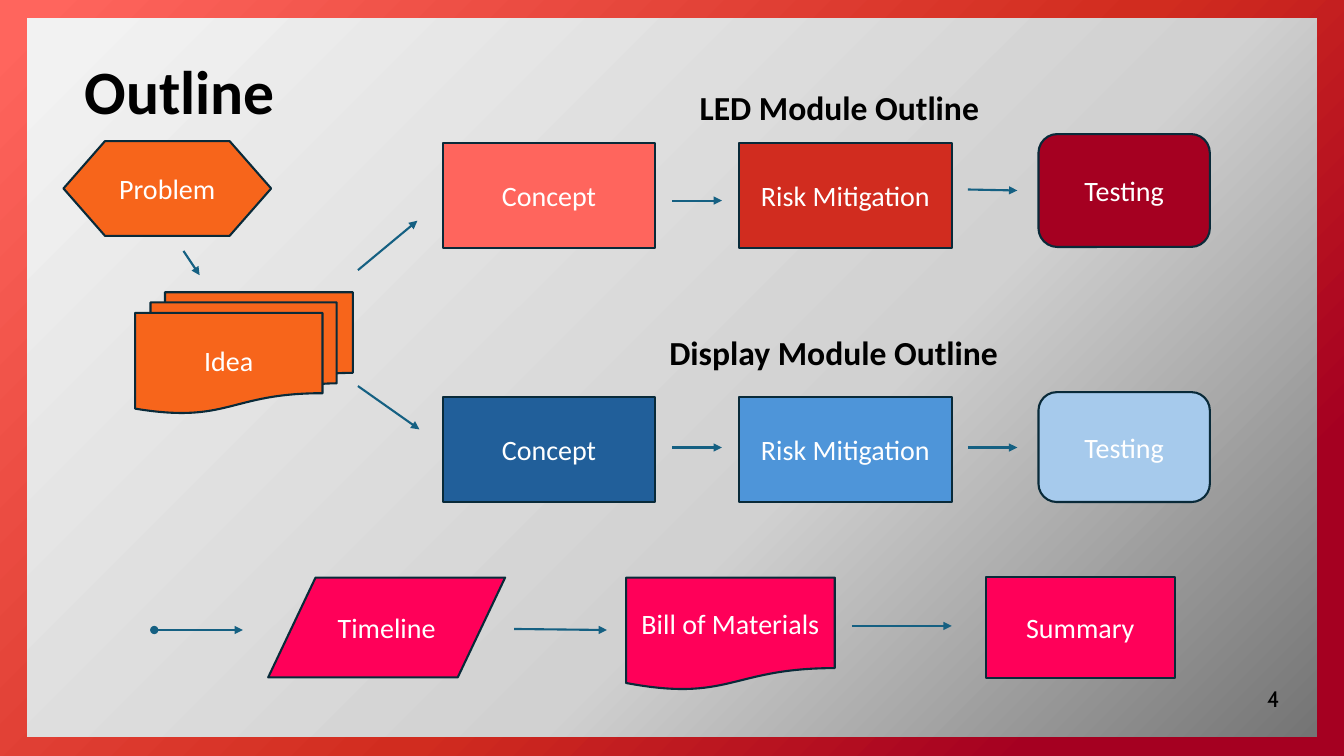
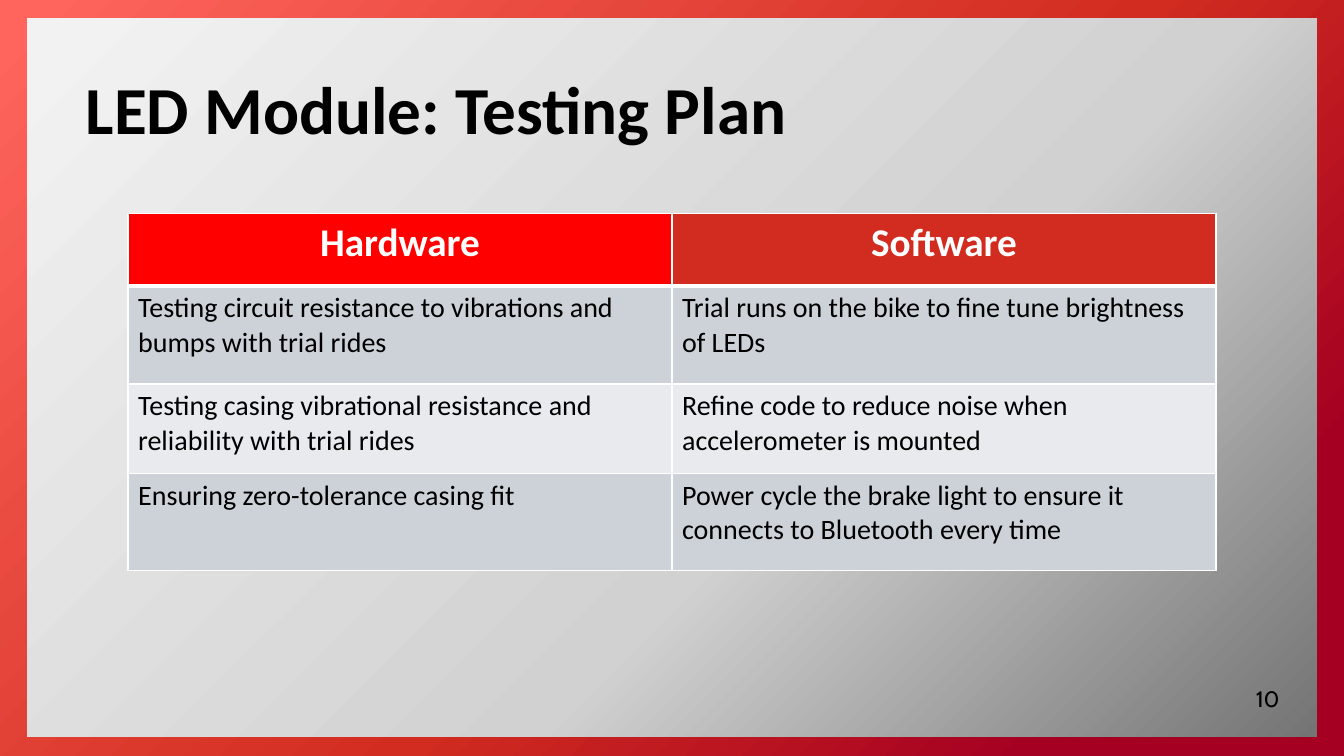
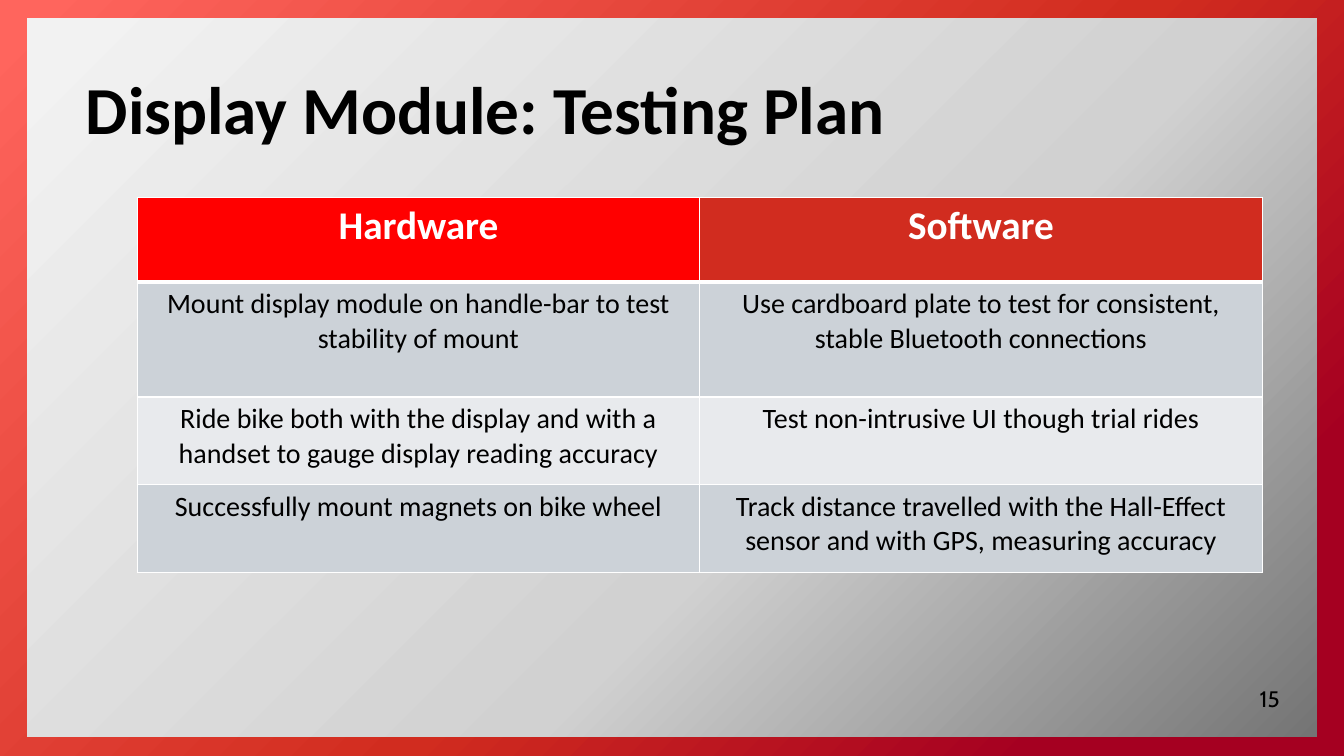
from copy import deepcopy

from lxml import etree
from pptx import Presentation
from pptx.dml.color import RGBColor
from pptx.enum import shapes, text
from pptx.oxml.ns import qn
from pptx.util import Inches, Pt

BLACK = RGBColor(0x00, 0x00, 0x00)
WHITE = RGBColor(0xFF, 0xFF, 0xFF)
CORAL = RGBColor(0xFF, 0x65, 0x5D)
RED = RGBColor(0xD1, 0x2C, 0x1F)
PURE_RED = RGBColor(0xFF, 0x00, 0x00)
CRIMSON = RGBColor(0xA5, 0x00, 0x21)
ORANGE = RGBColor(0xF7, 0x65, 0x1B)
PINK = RGBColor(0xFF, 0x00, 0x59)
DARK_BLUE = RGBColor(0x21, 0x5F, 0x9A)
MID_BLUE = RGBColor(0x4E, 0x95, 0xD9)
PALE_BLUE = RGBColor(0xA6, 0xCA, 0xEC)
OUTLINE = RGBColor(0x09, 0x2A, 0x39)
ARROW = RGBColor(0x15, 0x60, 0x82)
BANDS = [RGBColor(0xCC, 0xD2, 0xD8), RGBColor(0xE8, 0xEA, 0xED)]
BACKDROP_STOPS = [(0.02, CORAL), (0.55, RED), (0.85, CRIMSON)]
PANEL_STOPS = [
    (0.02, RGBColor(0xF2, 0xF2, 0xF2)),
    (0.61, RGBColor(0xD1, 0xD1, 0xD1)),
    (1.0, RGBColor(0x74, 0x74, 0x74)),
]
LEFT, CENTER, RIGHT = text.PP_ALIGN.LEFT, text.PP_ALIGN.CENTER, text.PP_ALIGN.RIGHT
TOP, MIDDLE = text.MSO_ANCHOR.TOP, text.MSO_ANCHOR.MIDDLE
KIND = shapes.MSO_SHAPE


def write(frame, words, size, color=BLACK, bold=False, align=LEFT, font="Calibri"):
    """Fill a text frame with one formatted paragraph."""
    frame.word_wrap = True
    paragraph = frame.paragraphs[0]
    paragraph.text = words
    paragraph.alignment = align
    paragraph.font.name = font
    paragraph.font.size = Pt(size)
    paragraph.font.bold = bold
    paragraph.font.color.rgb = color


def paint_gradient(fill, stops):
    """Apply a diagonal gradient with three stops."""
    fill.gradient()
    fill.gradient_angle = 315
    first = fill.gradient_stops[0]._gs
    first.getparent().append(deepcopy(first))
    for stop, (position, color) in zip(fill.gradient_stops, stops):
        stop.position = position
        stop.color.rgb = color


prs = Presentation()
prs.slide_width, prs.slide_height = Inches(13.33), Inches(7.5)
master = prs.slide_master
paint_gradient(master.background.fill, BACKDROP_STOPS)

# Titles and page numbers
slides = []
for heading, size, box, number in [
    ("Outline", 44, (0.74, 0.47, 10.59, 0.84), "4"),
    ("LED Module: Testing Plan", 48, (0.75, 0.62, 11.28, 0.91), "10"),
    ("Display Module: Testing Plan", 48, (0.75, 0.62, 11.28, 0.91), "15"),
]:
    slide = prs.slides.add_slide(prs.slide_layouts[5])
    title = slide.shapes.title
    title.left, title.top, title.width, title.height = map(Inches, box)
    write(title.text_frame, heading, size, bold=True)
    title.text_frame.vertical_anchor = TOP
    title.text_frame.auto_size = text.MSO_AUTO_SIZE.SHAPE_TO_FIT_TEXT
    page = slide.shapes.add_textbox(Inches(9.79), Inches(6.73), Inches(3), Inches(0.4))
    write(page.text_frame, number, 16, align=RIGHT, font="Cabin")
    page.text_frame.vertical_anchor = MIDDLE
    slides.append(slide)
outline, led_plan, display_plan = slides

# The grey panel belongs to the master, behind every slide's content
panel = outline.shapes.add_shape(
    KIND.RECTANGLE, Inches(0.27), Inches(0.18), Inches(12.79), Inches(7.13))
paint_gradient(panel.fill, PANEL_STOPS)
panel.line.fill.background()
panel.shadow.inherit = False
panel._element.nvSpPr.cNvPr.id = 20
master.shapes._spTree.insert(2, panel._element)

# Outline: steps
for words, kind, color, box in [
    ("Problem", KIND.FLOWCHART_PREPARATION, ORANGE, (0.63, 1.4, 2.06, 0.94)),
    ("Idea", KIND.FLOWCHART_MULTIDOCUMENT, ORANGE, (1.34, 2.9, 2.16, 1.2)),
    ("Concept", KIND.FLOWCHART_PROCESS, CORAL, (4.39, 1.42, 2.11, 1.04)),
    ("Risk Mitigation", KIND.FLOWCHART_PROCESS, RED, (7.33, 1.42, 2.11, 1.04)),
    ("Testing", KIND.FLOWCHART_ALTERNATE_PROCESS, CRIMSON, (10.3, 1.33, 1.7, 1.12)),
    ("Concept", KIND.FLOWCHART_PROCESS, DARK_BLUE, (4.39, 3.94, 2.11, 1.04)),
    ("Risk Mitigation", KIND.FLOWCHART_PROCESS, MID_BLUE, (7.33, 3.94, 2.11, 1.04)),
    ("Testing", KIND.FLOWCHART_ALTERNATE_PROCESS, PALE_BLUE, (10.3, 3.89, 1.7, 1.09)),
    ("Timeline", KIND.FLOWCHART_DATA, PINK, (2.66, 5.73, 2.35, 0.99)),
    ("Bill of Materials", KIND.FLOWCHART_DOCUMENT, PINK, (6.21, 5.73, 2.07, 1.12)),
    ("Summary", KIND.FLOWCHART_PROCESS, PINK, (9.78, 5.72, 1.87, 1.01)),
]:
    step = outline.shapes.add_shape(kind, *map(Inches, box))
    step.shadow.inherit = False
    step.fill.solid()
    step.fill.fore_color.rgb = color
    step.line.color.rgb = OUTLINE
    step.line.width = Pt(1.5)
    write(step.text_frame, words, 20, WHITE, align=CENTER)
    step.text_frame.vertical_anchor = MIDDLE

# Outline: arrows, each with its start, end and mark at the start
for x1, y1, x2, y2, start_mark in [
    (1.82, 2.49, 1.98, 2.73, "none"),
    (3.55, 2.68, 4.14, 2.19, "none"),
    (3.55, 3.83, 4.16, 4.26, "none"),
    (6.67, 1.99, 7.16, 1.99, "none"),
    (9.6, 1.88, 10.09, 1.89, "none"),
    (6.67, 4.44, 7.16, 4.44, "none"),
    (9.6, 4.44, 10.09, 4.44, "none"),
    (1.53, 6.25, 2.41, 6.25, "oval"),
    (5.1, 6.24, 6.02, 6.25, "none"),
    (8.45, 6.21, 9.44, 6.21, "none"),
]:
    arrow = outline.shapes.add_connector(
        shapes.MSO_CONNECTOR.STRAIGHT, *map(Inches, (x1, y1, x2, y2)))
    arrow.line.color.rgb = ARROW
    arrow.line.width = Pt(1.5)
    line = arrow.line._get_or_add_ln()
    etree.SubElement(line, qn("a:headEnd"), type=start_mark)
    etree.SubElement(line, qn("a:tailEnd"), type="triangle")
    etree.SubElement(arrow._element.spPr, qn("a:effectLst"))

for words, box in [
    ("LED Module Outline", (6.84, 0.81, 4.21, 0.5)),
    ("Display Module Outline", (6.54, 3.24, 4.24, 0.5)),
]:
    branch = outline.shapes.add_textbox(*map(Inches, box))
    write(branch.text_frame, words, 24, bold=True)

# Testing plans
HEADER = ("Hardware", "Software")
LED_TESTS = [
    HEADER,
    ("Testing circuit resistance to vibrations and bumps with trial rides",
     "Trial runs on the bike to fine tune brightness of LEDs"),
    ("Testing casing vibrational resistance and reliability with trial rides",
     "Refine code to reduce noise when accelerometer is mounted"),
    ("Ensuring zero-tolerance casing fit",
     "Power cycle the brake light to ensure it connects to Bluetooth every time"),
]
DISPLAY_TESTS = [
    HEADER,
    ("Mount display module on handle-bar to test stability of mount",
     "Use cardboard plate to test for consistent, stable Bluetooth connections"),
    ("Ride bike both with the display and with a handset to gauge display reading accuracy",
     "Test non-intrusive UI though trial rides"),
    ("Successfully mount magnets on bike wheel",
     "Track distance travelled with the Hall-Effect sensor and with GPS, measuring accuracy"),
]
for slide, tests, left, top, width, heights, align in [
    (led_plan, LED_TESTS, 1.27, 2.12, 10.79, (0.72, 0.97, 0.89, 0.96), LEFT),
    (display_plan, DISPLAY_TESTS, 1.36, 1.96, 11.16, (0.84, 1.14, 0.87, 0.87), CENTER),
]:
    plan = slide.shapes.add_table(
        len(tests), 2, Inches(left), Inches(top), Inches(width), Inches(sum(heights))).table
    for r, (row, height) in enumerate(zip(tests, heights)):
        plan.rows[r].height = Inches(height)
        for c, words in enumerate(row):
            cell = plan.cell(r, c)
            borders = {"lnL": 1, "lnR": 1, "lnT": 3 if r == 1 else 1, "lnB": 3 if r == 0 else 1}
            for side, points in borders.items():
                border = etree.SubElement(
                    cell._tc.get_or_add_tcPr(), qn("a:" + side), w=str(Pt(points)))
                solid = etree.SubElement(border, qn("a:solidFill"))
                etree.SubElement(solid, qn("a:srgbClr"), val=str(WHITE))
            cell.fill.solid()
            if r == 0:
                cell.fill.fore_color.rgb = (PURE_RED, RED)[c]
                write(cell.text_frame, words, 28, WHITE, bold=True, align=CENTER)
            else:
                cell.fill.fore_color.rgb = BANDS[(r - 1) % 2]
                write(cell.text_frame, words, 20, align=align)

prs.save("out.pptx")
